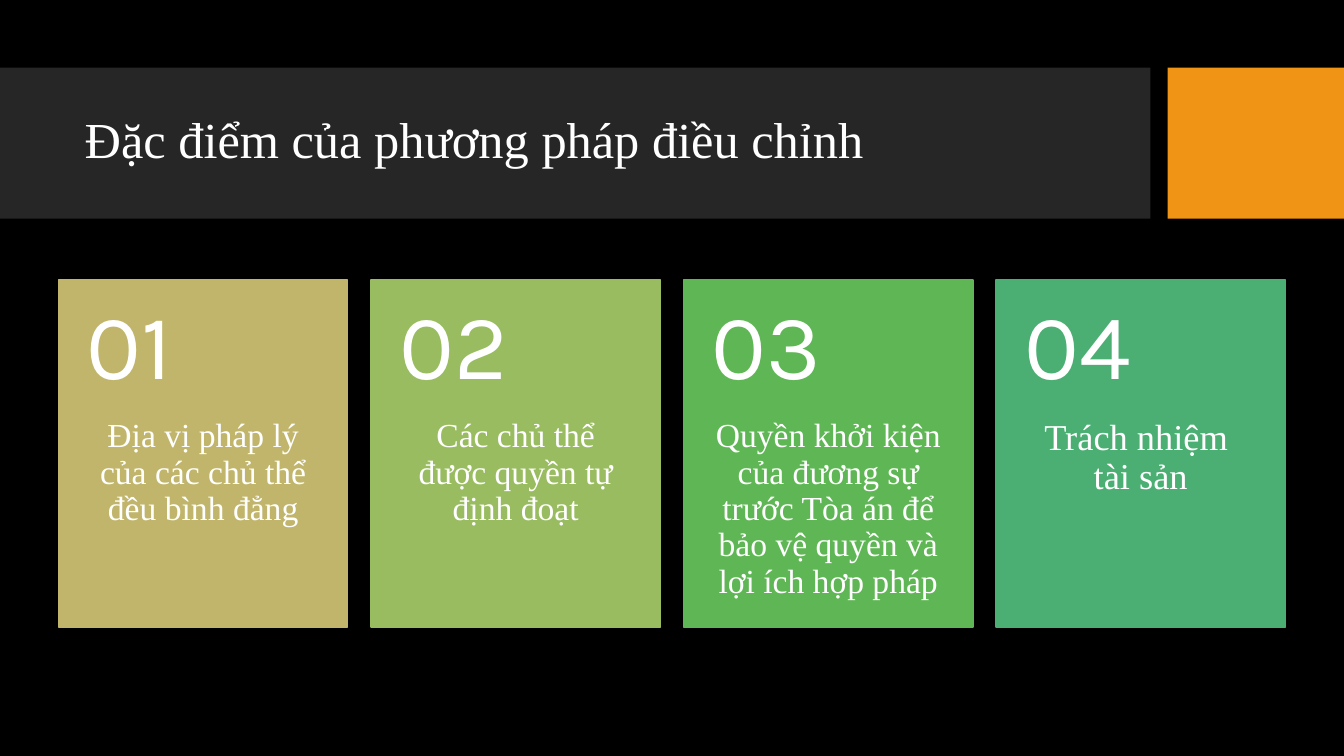
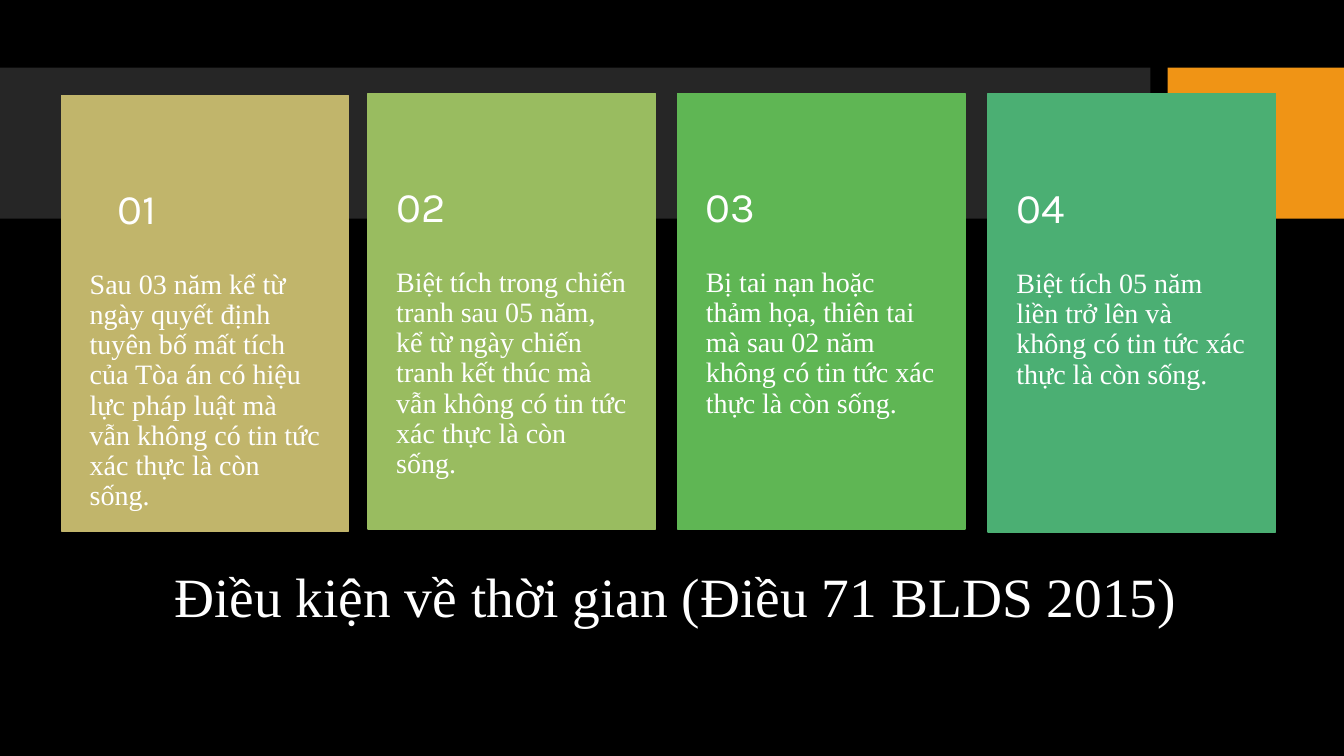
from pptx import Presentation
from pptx.dml.color import RGBColor
from pptx.enum.shapes import MSO_SHAPE
from pptx.enum.text import MSO_ANCHOR, MSO_AUTO_SIZE, PP_ALIGN
from pptx.util import Inches, Pt

COLORS = {"bg": "000000", "band": "262626", "accent": "F09415", "text": "FFFFFF",
          "sand": "C1B56B", "olive": "99BC60", "green": "5FB654", "teal": "4BAF73"}
CARD_FILLS = ("sand", "olive", "green", "teal")
SERIF, SANS = "Times New Roman", "Karla"
LEFT, CENTER = PP_ALIGN.LEFT, PP_ALIGN.CENTER
BANDS = [("band", (0, 0.67, 11.41, 1.5)), ("accent", (11.58, 0.67, 1.75, 1.5))]
NUMBER_H, BODY_START, INSET = 1.38, 0.4, 0.28

# Each card: left, top, height, number indent, body size, body text
SLIDES = [
    {"title": "Đặc điểm của phương pháp điều chỉnh",
     "title_box": (0.74, 0.82, 10.51, 1.18), "title_size": 36, "title_align": LEFT,
     "card_w": 2.87, "number_size": 66, "number_drop": 0, "body_align": CENTER,
     "cards": [(0.58 + 3.1 * i, 2.78, 3.44, 0, size, text) for i, (size, text) in enumerate([
         (24, "Địa vị pháp lý của các chủ thể đều bình đẳng"),
         (24, "Các chủ thể được quyền tự định đoạt"),
         (24, "Quyền khởi kiện của đương sự trước Tòa án để bảo vệ quyền và lợi ích hợp pháp"),
         (26, "Trách nhiệm \vtài sản")])]},
    {"title": "Điều kiện về thời gian (Điều 71 BLDS 2015)",
     "title_box": (1.2, 5.3, 11, 1.3), "title_size": 39.6, "title_align": CENTER,
     "card_w": 2.85, "number_size": 30, "number_drop": 0.1, "body_align": LEFT,
     "cards": [
         (0.61, 0.95, 4.32, 0.28, 20, "Sau 03 năm kể từ ngày quyết định tuyên bố mất tích của Tòa án "
          "có hiệu lực pháp luật mà vẫn không có tin tức xác thực là còn sống."),
         (3.65, 0.93, 4.32, 0, 20, "Biệt tích trong chiến tranh sau 05 năm, kể từ ngày chiến tranh "
          "kết thúc mà vẫn không có tin tức xác thực là còn sống."),
         (6.72, 0.93, 4.32, 0, 20, "Bị tai nạn hoặc thảm họa, thiên tai mà sau 02 năm không có tin "
          "tức xác thực là còn sống."),
         (9.8, 0.93, 4.35, 0, 20, "Biệt tích 05 năm liền trở lên và không có tin tức xác thực "
          "là còn sống.")]},
]


def rgb(name):
    return RGBColor.from_string(COLORS[name])


def inches(box):
    return [Inches(v) for v in box]


def add_rect(s, box, color, line=False):
    sp = s.shapes.add_shape(MSO_SHAPE.RECTANGLE, *inches(box))
    sp.shadow.inherit = False
    sp.fill.solid()
    sp.fill.fore_color.rgb = rgb(color)
    if line:
        sp.line.color.rgb = rgb(color)
        sp.line.width = Pt(1)
    else:
        sp.line.fill.background()
    return sp


def write(sp, text, size, font=SERIF, align=LEFT, anchor=MSO_ANCHOR.MIDDLE, margins=(0.1, 0.05, 0.1, 0.05)):
    """Fill a shape with one paragraph; margins run left, top, right, bottom."""
    tf = sp.text_frame
    tf.text = text
    frame = {"word_wrap": True, "auto_size": MSO_AUTO_SIZE.NONE, "vertical_anchor": anchor}
    frame.update(zip(("margin_left", "margin_top", "margin_right", "margin_bottom"), inches(margins)))
    for key, value in frame.items():
        setattr(tf, key, value)
    p = tf.paragraphs[0]
    p.alignment, p.line_spacing = align, 0.9
    for r in p.runs:
        r.font.name, r.font.size = font, Pt(size)
        r.font.color.rgb = rgb("text")


def add_card(s, spec, number, color, card):
    left, top, height, indent, size, text = card
    width = spec["card_w"]
    body_top = top + BODY_START * height
    number_top = body_top - NUMBER_H + spec["number_drop"]
    add_rect(s, (left, top, width, height), color, line=True)
    body = s.shapes.add_textbox(*inches((left, body_top, width, top + height - body_top)))
    write(body, text, size, align=spec["body_align"], anchor=MSO_ANCHOR.TOP,
          margins=(INSET, 0, INSET, 0.36))
    label = s.shapes.add_textbox(*inches((left + indent, number_top, width - indent, NUMBER_H)))
    write(label, f"{number:02}", spec["number_size"], SANS, margins=(INSET, 0.18, INSET, 0.18))


def style_layout(layout, s):
    """Give the layout its background and bands, drawn on s and then moved."""
    layout.background.fill.solid()
    layout.background.fill.fore_color.rgb = rgb("bg")
    for ph in list(layout.placeholders)[1:]:
        layout.shapes.element.remove(ph.element)
    bands = [add_rect(s, box, color) for color, box in BANDS]
    for i, band in enumerate(bands):
        layout.shapes.element.insert(2 + i, band.element)


def main():
    prs = Presentation()
    prs.slide_width, prs.slide_height = Inches(13.33), Inches(7.5)
    layout = prs.slide_layouts[5]
    for n, spec in enumerate(SLIDES):
        s = prs.slides.add_slide(layout)
        if n == 0:
            style_layout(layout, s)
        title = s.shapes.title
        title.left, title.top, title.width, title.height = inches(spec["title_box"])
        write(title, spec["title"], spec["title_size"], align=spec["title_align"])
        for i, (color, card) in enumerate(zip(CARD_FILLS, spec["cards"]), 1):
            add_card(s, spec, i, color, card)
    prs.save("out.pptx")


if __name__ == "__main__":
    main()
